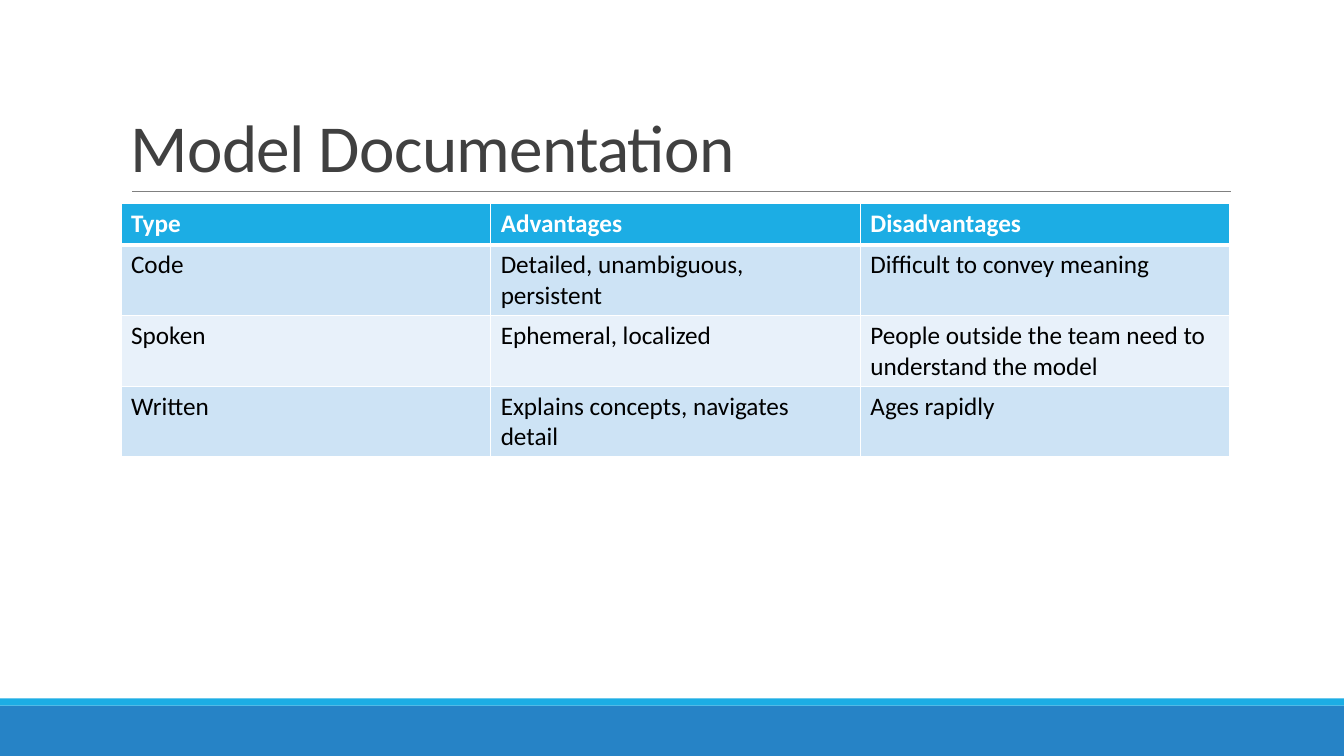
"""Build the Model Documentation slide with its comparison table."""
from dataclasses import dataclass

from lxml.etree import SubElement
from pptx import Presentation
from pptx.dml.color import RGBColor
from pptx.enum.shapes import MSO_CONNECTOR as Connector, MSO_SHAPE as Preset
from pptx.enum.text import MSO_ANCHOR as Anchor
from pptx.oxml import parse_xml
from pptx.oxml.ns import nsdecls, qn
from pptx.slide import Slide
from pptx.table import _Cell as Cell
from pptx.util import Inches, Pt

FONT = "Calibri"
WHITE = RGBColor(0xFF, 0xFF, 0xFF)
BLACK = RGBColor(0x00, 0x00, 0x00)
CHARCOAL = RGBColor(0x40, 0x40, 0x40)
GRAY = RGBColor(0x80, 0x80, 0x80)
SKY = RGBColor(0x1C, 0xAD, 0xE4)
BLUE = RGBColor(0x26, 0x83, 0xC6)
BAND_DARK = RGBColor(0xCD, 0xE3, 0xF5)
BAND_LIGHT = RGBColor(0xE8, 0xF1, 0xFA)

WIDTH, HEIGHT = 13.33, 7.5
LEFT, CONTENT_WIDTH = 1.2, 11
TABLE_TOP, HEADER_HEIGHT, BODY_HEIGHT = 2.02, 0.41, 0.7


@dataclass
class Bar:
    top: float
    height: float
    color: RGBColor


@dataclass
class Documentation:
    kind: str
    advantages: str
    disadvantages: str

    def texts(self) -> list[str]:
        return [self.kind, self.advantages, self.disadvantages]


BARS = [Bar(7, 0.5, BLUE), Bar(6.93, 0.07, SKY)]
ROWS = [
    Documentation("Type", "Advantages", "Disadvantages"),
    Documentation("Code", "Detailed, unambiguous, persistent", "Difficult to convey meaning"),
    Documentation("Spoken", "Ephemeral, localized",
                  "People outside the team need to understand the model"),
    Documentation("Written", "Explains concepts, navigates detail", "Ages rapidly"),
]


def draw_bar(page: Slide, bar: Bar) -> None:
    shape = page.shapes.add_shape(
        Preset.RECTANGLE, 0, Inches(bar.top), Inches(WIDTH), Inches(bar.height))
    shape.shadow.inherit = False
    shape.fill.solid()
    shape.fill.fore_color.rgb = bar.color
    shape.line.fill.background()


def draw_title_rule(page: Slide) -> None:
    rule = page.shapes.add_connector(
        Connector.STRAIGHT, Inches(1.31), Inches(1.9), Inches(12.21), Inches(1.9))
    rule.line.color.rgb = GRAY
    rule.line.width = Pt(0.5)
    SubElement(rule._element.spPr, qn("a:effectLst"))


def draw_title(page: Slide, text: str) -> None:
    box = page.shapes.add_textbox(
        Inches(LEFT), Inches(0.31), Inches(CONTENT_WIDTH), Inches(1.59))
    frame = box.text_frame
    frame.word_wrap = True
    frame.vertical_anchor = Anchor.BOTTOM
    para = frame.paragraphs[0]
    para.line_spacing = 0.85
    span = para.add_run()
    span.text = text
    span.font.name = FONT
    span.font.size = Pt(48)
    span.font.color.rgb = CHARCOAL
    span.font._element.set("spc", "-50")


def set_borders(cell: Cell, widths: dict[str, float]) -> None:
    properties = cell._tc.get_or_add_tcPr()
    for position, (side, width) in enumerate(widths.items()):
        properties.insert(position, parse_xml(
            f'<a:ln{side} {nsdecls("a")} w="{Pt(width)}"><a:solidFill>'
            f'<a:srgbClr val="{WHITE}"/></a:solidFill></a:ln{side}>'))


def fill_cell(cell: Cell, text: str, row: int) -> None:
    header = row == 0
    cell.text = text
    font = cell.text_frame.paragraphs[0].font
    font.name = FONT
    font.size = Pt(18)
    font.bold = header
    font.color.rgb = WHITE if header else BLACK
    cell.fill.solid()
    cell.fill.fore_color.rgb = SKY if header else BAND_DARK if row % 2 else BAND_LIGHT
    set_borders(cell, {"L": 1, "R": 1, "T": 3 if row == 1 else 1, "B": 3 if header else 1})


def draw_table(page: Slide, rows: list[Documentation]) -> None:
    columns = len(rows[0].texts())
    height = HEADER_HEIGHT + BODY_HEIGHT * (len(rows) - 1)
    table = page.shapes.add_table(
        len(rows), columns, Inches(LEFT), Inches(TABLE_TOP),
        Inches(CONTENT_WIDTH), Inches(height)).table
    for row, entry in enumerate(rows):
        table.rows[row].height = Inches(BODY_HEIGHT if row else HEADER_HEIGHT)
        for column, text in enumerate(entry.texts()):
            fill_cell(table.cell(row, column), text, row)


def main() -> None:
    deck = Presentation()
    deck.slide_width, deck.slide_height = Inches(WIDTH), Inches(HEIGHT)
    page = deck.slides.add_slide(deck.slide_layouts[6])
    for bar in BARS:
        draw_bar(page, bar)
    draw_title_rule(page)
    draw_title(page, "Model Documentation")
    draw_table(page, ROWS)
    deck.save("out.pptx")


if __name__ == "__main__":
    main()
